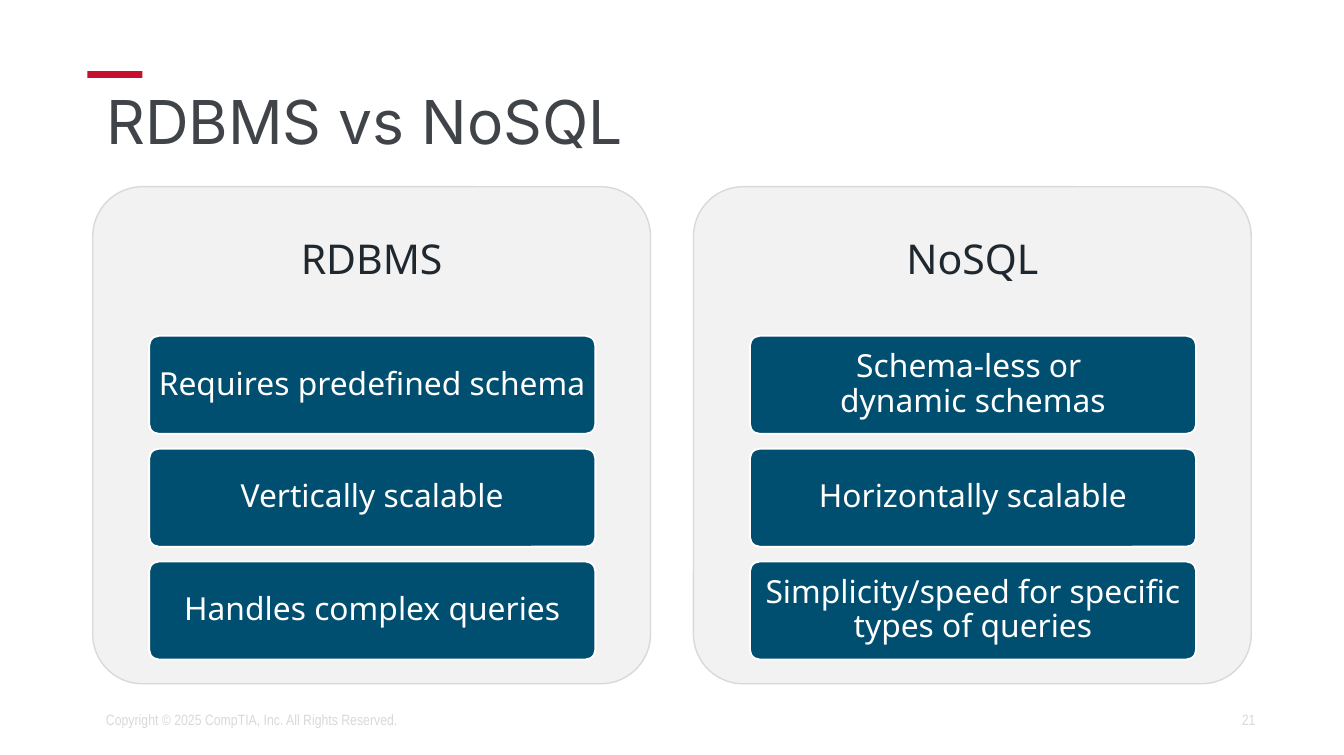
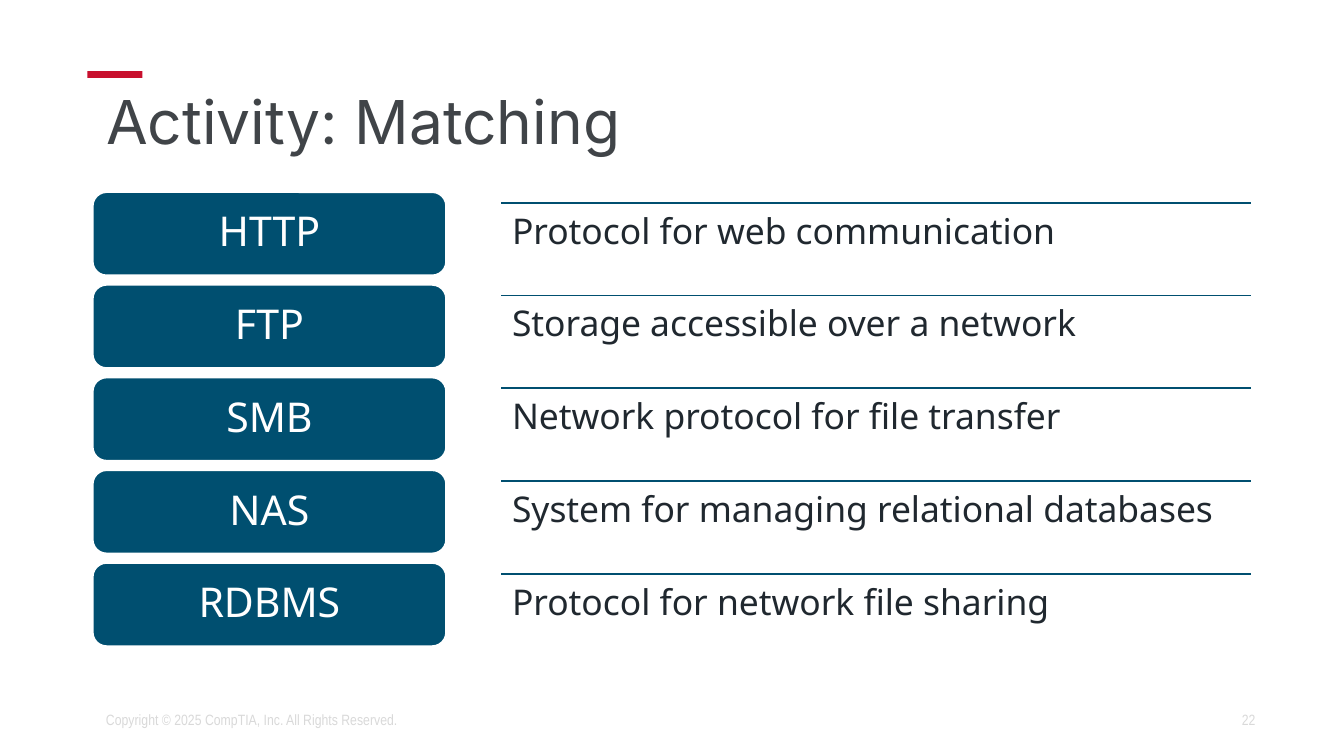
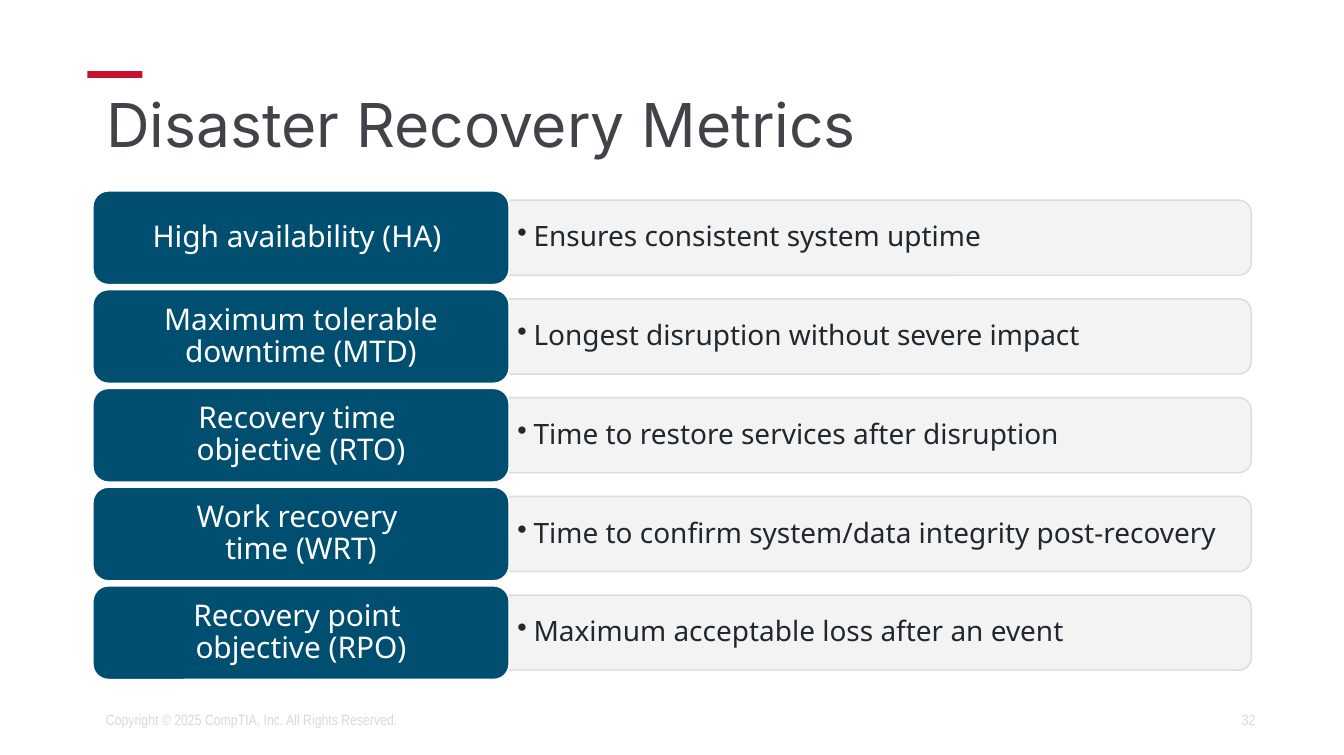
from dataclasses import dataclass

from lxml import etree
from pptx import Presentation
from pptx import util as u
from pptx.dml.color import RGBColor
from pptx.enum import shapes, text
from pptx.oxml import ns

TITLE_ONLY = 5
LEFT, RIGHT = 0.69, 9.31
COPYRIGHT = "Copyright © 2025 CompTIA, Inc. All Rights Reserved."
SHAPE = shapes.MSO_SHAPE
ALIGN = text.PP_ALIGN
ANCHOR = text.MSO_ANCHOR


@dataclass(frozen=True)
class Theme:
    accent: str = "C8102E"
    heading: str = "404448"
    ink: str = "20282F"
    teal: str = "004F70"
    panel: str = "F2F2F2"
    grey: str = "D9D9D9"
    white: str = "FFFFFF"
    title_font: str = "Inter"
    body_font: str = "Noto Sans"
    footer_font: str = "Arial Narrow"
    title_size: float = 32.4
    label_size: float = 22
    answer_size: float = 19
    card_size: float = 17
    metric_size: float = 16
    detail_size: float = 15
    footer_size: float = 8


def evenly(first, last, count):
    """Return count positions with equal steps from first to last."""
    step = (last - first) / (count - 1)
    return [first + step * index for index in range(count)]


def inches(*lengths):
    return [u.Inches(length) for length in lengths]


class SlideBuilder:
    def __init__(self, deck, theme):
        self.deck = deck
        self.theme = theme
        self.slide = None

    def page(self, title, number, title_anchor=ANCHOR.TOP):
        """Start a slide with its title, accent bar and footer."""
        theme = self.theme
        layout = self.deck.slide_layouts[TITLE_ONLY]
        self.slide = self.deck.slides.add_slide(layout)
        heading = self.slide.shapes.title
        heading.left, heading.top, heading.width, heading.height = inches(
            LEFT, 0.64, RIGHT - LEFT, 0.63)
        self.add_words(heading, title, theme.title_size, theme.heading,
                       font=theme.title_font, anchor=title_anchor)
        self.shape(SHAPE.RECTANGLE, 0.65, 0.53, 0.41, 0.05, theme.accent)
        for words, left, width, align in (
                (str(number), 7.06, 2.38, ALIGN.RIGHT),
                (COPYRIGHT, LEFT, 4.31, ALIGN.LEFT)):
            self.textbox(words, left, 5.21, width, 0.3, theme.footer_size,
                         theme.grey, font=theme.footer_font, align=align,
                         spacing=1.0)

    def add_words(self, box, words, size, color, font=None, align=ALIGN.LEFT,
                  anchor=ANCHOR.MIDDLE, insets=(0.1, 0.05), spacing=0.9,
                  bullet=False):
        """Fill a box with one paragraph; insets are (sides, top and bottom)."""
        frame = box.text_frame
        frame.word_wrap = True
        frame.auto_size = text.MSO_AUTO_SIZE.NONE
        frame.vertical_anchor = anchor
        frame.margin_left = frame.margin_right = u.Inches(insets[0])
        frame.margin_top = frame.margin_bottom = u.Inches(insets[1])
        para = frame.paragraphs[0]
        if bullet:
            self.add_bullet(para, 0.12)
        para.alignment = align
        para.line_spacing = spacing
        for index, line in enumerate(words.split("\n")):
            if index:
                para.add_line_break()
            span = para.add_run()
            span.text = line
            span.font.name = font or self.theme.body_font
            span.font.size = u.Pt(size)
            span.font.color.rgb = RGBColor.from_string(color)

    @staticmethod
    def add_bullet(para, indent):
        para.level = 1
        properties = para._p.get_or_add_pPr()
        properties.set("marL", str(u.Inches(indent)))
        properties.set("indent", str(-u.Inches(indent)))
        etree.SubElement(properties, ns.qn("a:buChar")).set("char", "•")

    def textbox(self, words, left, top, width, height, size, color, **style):
        box = self.slide.shapes.add_textbox(*inches(left, top, width, height))
        self.add_words(box, words, size, color, **style)

    def shape(self, kind, left, top, width, height, fill, line=None,
              weight=1.0, corner=None):
        shape = self.slide.shapes.add_shape(
            kind, *inches(left, top, width, height))
        shape.shadow.inherit = False
        shape.fill.solid()
        shape.fill.fore_color.rgb = RGBColor.from_string(fill)
        if line:
            shape.line.color.rgb = RGBColor.from_string(line)
            shape.line.width = u.Pt(weight)
        else:
            shape.line.fill.background()
        if corner is not None:
            shape.adjustments[0] = corner
        return shape

    def card(self, words, left, top, width, height, size, insets, corner=None):
        """Add a teal rounded box with a centred white label."""
        theme = self.theme
        card = self.shape(SHAPE.ROUNDED_RECTANGLE, left, top, width, height,
                          theme.teal, theme.white, corner=corner)
        self.add_words(card, words, size, theme.white, align=ALIGN.CENTER,
                       insets=insets)

    def strip(self, left, top, width, height):
        """Add a translucent bar whose right-hand corners are rounded."""
        shift = (width - height) / 2
        bar = self.shape(SHAPE.ROUND_2_SAME_RECTANGLE, left + shift,
                         top - shift, height, width, self.theme.panel,
                         self.theme.grey, 0.75)
        bar.rotation = 90
        for color in bar._element.spPr.iter(ns.qn("a:srgbClr")):
            etree.SubElement(color, ns.qn("a:alpha")).set("val", "90000")

    def rule(self, left, right, top):
        rule = self.slide.shapes.add_connector(
            shapes.MSO_CONNECTOR.STRAIGHT, *inches(left, top, right, top))
        rule.line.color.rgb = RGBColor.from_string(self.theme.teal)
        rule.line.width = u.Pt(1)
        etree.SubElement(rule._element.spPr, ns.qn("a:effectLst"))


def add_comparison(builder):
    theme = builder.theme
    builder.page("RDBMS vs NoSQL", 21)
    columns = (
        ("RDBMS", ("Requires predefined schema", "Vertically scalable",
                   "Handles complex queries")),
        ("NoSQL", ("Schema-less or \ndynamic schemas",
                   "Horizontally scalable",
                   "Simplicity/speed for specific types of queries")),
    )
    width, top = 4.15, 1.39
    for left, (name, traits) in zip((LEFT, RIGHT - width), columns):
        builder.shape(SHAPE.ROUNDED_RECTANGLE, left, top, width, 3.7,
                      theme.panel, theme.grey, 0.75, corner=0.1)
        builder.textbox(name, left, top, width, 1.11, theme.label_size,
                        theme.ink, align=ALIGN.CENTER, insets=(0.09, 0.09))
        for card_top, trait in zip(evenly(2.5, 4.18, len(traits)), traits):
            builder.card(trait, left + 0.42, card_top, 3.32, 0.73,
                         theme.card_size, (0.05, 0.04), corner=0.1)


def add_matching(builder):
    theme = builder.theme
    builder.page("Activity: Matching", 22)
    rows = (
        ("HTTP", "Protocol for web communication"),
        ("FTP", "Storage accessible over a network"),
        ("SMB", "Network protocol for file transfer"),
        ("NAS", "System for managing relational databases"),
        ("RDBMS", "Protocol for network file sharing"),
    )
    answer_left = 3.73
    for top, (term, answer) in zip(evenly(1.43, 4.19, len(rows)), rows):
        answer_top = top + 0.08
        builder.rule(answer_left, RIGHT, answer_top)
        builder.textbox(answer, answer_left, answer_top, RIGHT - answer_left,
                        0.69, theme.answer_size, theme.ink,
                        anchor=ANCHOR.TOP, insets=(0.08, 0.08))
        builder.card(term, LEFT, top, 2.63, 0.62, theme.label_size,
                     (0.09, 0.09))


def add_metrics(builder):
    theme = builder.theme
    builder.page("Disaster Recovery Metrics", 32, ANCHOR.MIDDLE)
    rows = (
        ("High availability (HA) ", "Ensures consistent system uptime"),
        ("Maximum tolerable downtime (MTD)",
         "Longest disruption without severe impact"),
        ("Recovery time \nobjective (RTO)",
         "Time to restore services after disruption"),
        ("Work recovery \ntime (WRT)",
         "Time to confirm system/data integrity post-recovery"),
        ("Recovery point \nobjective (RPO)",
         "Maximum acceptable loss after an event"),
    )
    metric_width = 3.1
    detail_left = LEFT + metric_width
    for top, (metric, detail) in zip(evenly(1.42, 4.36, len(rows)), rows):
        builder.strip(detail_left, top + 0.07, RIGHT - detail_left, 0.56)
        builder.textbox(detail, detail_left, top + 0.1, 5.49, 0.5,
                        theme.detail_size, theme.ink, insets=(0.06, 0.03),
                        bullet=True)
        builder.card(metric, LEFT, top, metric_width, 0.7, theme.metric_size,
                     (0.07, 0.03))


def main():
    deck = Presentation()
    deck.slide_width, deck.slide_height = inches(10, 5.62)
    builder = SlideBuilder(deck, Theme())
    add_comparison(builder)
    add_matching(builder)
    add_metrics(builder)
    deck.save("out.pptx")


if __name__ == "__main__":
    main()
